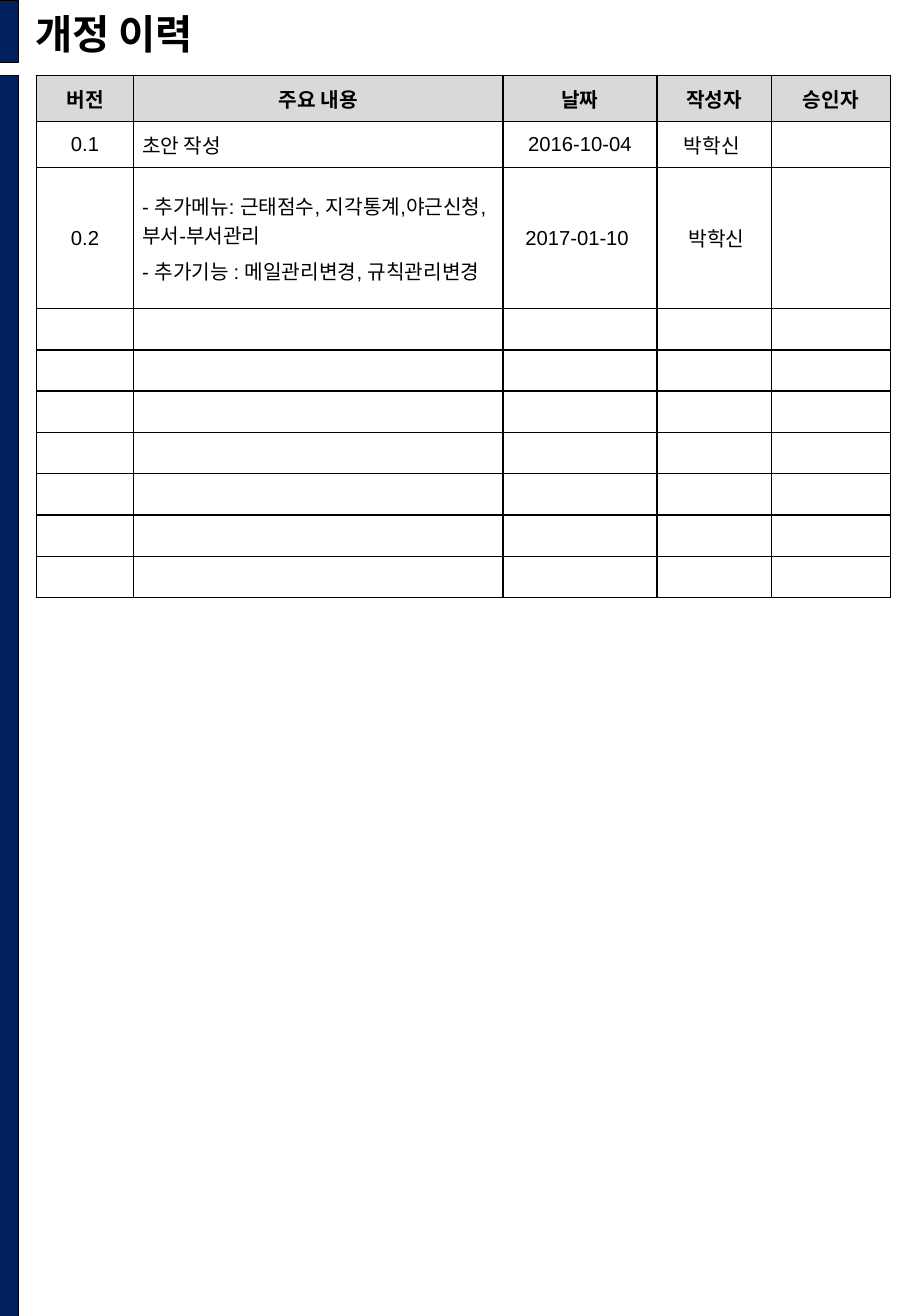
from dataclasses import dataclass
from itertools import zip_longest

from lxml.etree import SubElement
from pptx import Presentation
from pptx.dml.color import RGBColor as Rgb
from pptx.enum.shapes import MSO_SHAPE as Shape
from pptx.enum.text import MSO_ANCHOR as Anchor, MSO_AUTO_SIZE as AutoSize, PP_ALIGN as Align
from pptx.oxml.ns import qn
from pptx.util import Pt

EMU_PER_PX = 9144  # 100 px to the inch


@dataclass(frozen=True)
class Theme:
    navy: Rgb = Rgb.from_string("002060")
    ink: Rgb = Rgb.from_string("000000")
    header_fill: Rgb = Rgb.from_string("D9D9D9")
    latin: str = "Arial"
    korean: str = "Noto Sans CJK KR"
    title_size: int = 24
    body_size: int = 12
    bar_line: float = 0.25
    grid_line: int = 1
    paragraph_gap: int = 2


THEME = Theme()
SLIDE_SIZE = (750, 1083)
SIDE_BARS = [(-2, 62, 17, 1022), (-2, 0, 17, 51)]
TITLE_BOX = (19, 1, 638, 51)
HISTORY_AT = (30, 62)
CELL_MARGIN = 7
COLUMN_WIDTHS = [80, 304, 127, 94, 98]
ROW_HEIGHTS = [38, 38, 116] + [33] * 7
SUMMARY_COLUMN = 1
HISTORY = [
    ["버전", "주요 내용", "날짜", "작성자", "승인자"],
    ["0.1", "초안 작성", "2016-10-04", "박학신 "],
    [
        "0.2",
        "- 추가메뉴: 근태점수, 지각통계,야근신청,부서-부서관리\n"
        "- 추가기능 : 메일관리변경, 규칙관리변경",
        "2017-01-10 ",
        " 박학신",
    ],
]


def px(length):
    return length * EMU_PER_PX


def box(*lengths):
    return [px(length) for length in lengths]


def format_run(run, size, latin, bold):
    run.font.size = Pt(size)
    run.font.name = latin
    run.font.bold = bold
    run.font.color.rgb = THEME.ink
    SubElement(run.font._element, qn("a:ea"), typeface=THEME.korean)


def add_side_bar(slide, bounds):
    bar = slide.shapes.add_shape(Shape.RECTANGLE, *box(*bounds))
    bar.shadow.inherit = False
    bar.fill.solid()
    bar.fill.fore_color.rgb = THEME.navy
    bar.line.color.rgb = THEME.ink
    bar.line.width = Pt(THEME.bar_line)


def add_title(slide, wording):
    frame = slide.shapes.add_textbox(*box(*TITLE_BOX)).text_frame
    frame.word_wrap = True
    frame.auto_size = AutoSize.SHAPE_TO_FIT_TEXT
    frame.vertical_anchor = Anchor.BOTTOM
    frame.text = wording
    format_run(frame.paragraphs[0].runs[0], THEME.title_size, THEME.korean, True)


def draw_borders(cell):
    properties = cell._tc.get_or_add_tcPr()
    for side in ("lnL", "lnR", "lnT", "lnB"):
        border = SubElement(properties, qn(f"a:{side}"), w=str(Pt(THEME.grid_line)))
        fill = SubElement(border, qn("a:solidFill"))
        SubElement(fill, qn("a:srgbClr"), val=str(THEME.ink))


def write_cell(cell, wording, align, bold):
    cell.text_frame.text = wording
    for paragraph in cell.text_frame.paragraphs:
        if not wording:
            size = str(THEME.body_size * 100)
            end = SubElement(paragraph._p, qn("a:endParaRPr"), sz=size)
            SubElement(end, qn("a:latin"), typeface=THEME.latin)
            continue
        paragraph.alignment = align
        paragraph.space_before = paragraph.space_after = Pt(THEME.paragraph_gap)
        for run in paragraph.runs:
            format_run(run, THEME.body_size, THEME.latin, bold)


def style_cell(cell, is_header):
    cell.margin_left = cell.margin_right = px(CELL_MARGIN)
    cell.margin_top = cell.margin_bottom = px(CELL_MARGIN)
    cell.vertical_anchor = Anchor.MIDDLE
    draw_borders(cell)
    if is_header:
        cell.fill.solid()
        cell.fill.fore_color.rgb = THEME.header_fill
    else:
        cell.fill.background()


def add_history(slide):
    bounds = box(*HISTORY_AT, sum(COLUMN_WIDTHS), sum(ROW_HEIGHTS))
    table = slide.shapes.add_table(len(ROW_HEIGHTS), len(COLUMN_WIDTHS), *bounds).table
    table.first_row = table.horz_banding = False
    for column, width in zip(table.columns, COLUMN_WIDTHS):
        column.width = px(width)
    for row_no, (height, entry) in enumerate(zip_longest(ROW_HEIGHTS, HISTORY, fillvalue=[])):
        row = table.rows[row_no]
        row.height = px(height)
        is_header = row_no == 0
        for column_no, (cell, wording) in enumerate(zip_longest(row.cells, entry, fillvalue="")):
            is_summary = column_no == SUMMARY_COLUMN and not is_header
            style_cell(cell, is_header)
            write_cell(cell, wording, Align.LEFT if is_summary else Align.CENTER, is_header)


def main():
    deck = Presentation()
    deck.slide_width, deck.slide_height = box(*SLIDE_SIZE)
    slide = deck.slides.add_slide(deck.slide_layouts[6])
    for bounds in SIDE_BARS:
        add_side_bar(slide, bounds)
    add_title(slide, "개정 이력")
    add_history(slide)
    deck.save("out.pptx")


if __name__ == "__main__":
    main()
